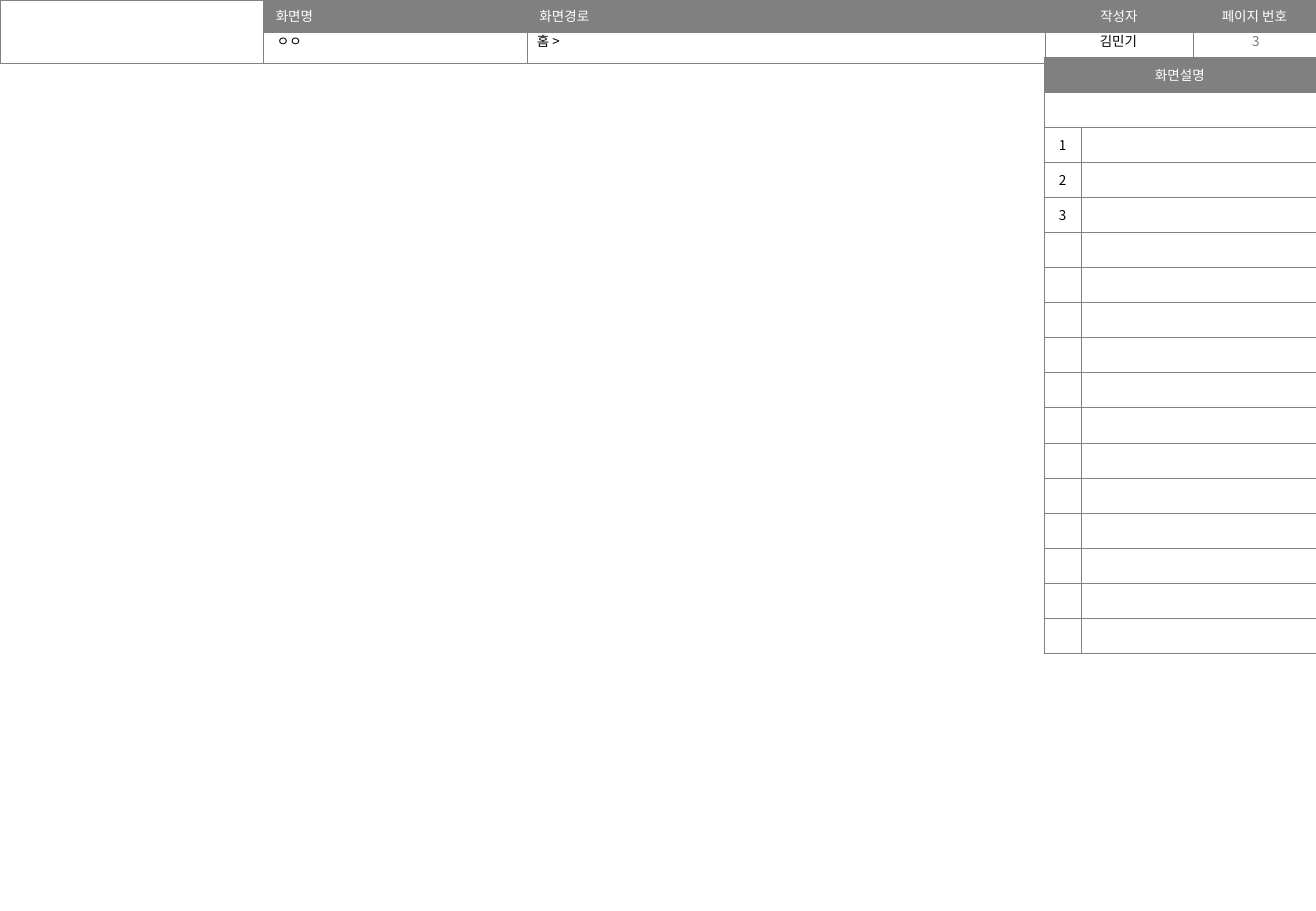
from lxml import etree
from pptx import Presentation
from pptx.dml.color import RGBColor
from pptx.enum.text import MSO_ANCHOR, PP_ALIGN
from pptx.oxml.ns import qn
from pptx.util import Inches, Pt

LEFT, CENTER = PP_ALIGN.LEFT, PP_ALIGN.CENTER
TOP, MIDDLE = MSO_ANCHOR.TOP, MSO_ANCHOR.MIDDLE
GREY = RGBColor(0x80, 0x80, 0x80)
PAGE_GREY = RGBColor(0x79, 0x79, 0x79)
WHITE = RGBColor(0xFF, 0xFF, 0xFF)
BLACK = RGBColor(0, 0, 0)
FONT, SIZE = "Noto Sans CJK KR", Pt(8)

# Content
HEADER_COLS = [2.17, 2.17, 4.26, 1.22, 1.01]
HEADER_ROWS = [0.26, 0.26]
HEADERS = [("화면명", LEFT), ("화면경로", LEFT), ("작성자", CENTER), ("페이지 번호", CENTER)]
VALUES = [  # text, left, width, alignment, anchor, colour
    ("김민기", 8.59, 1.23, CENTER, TOP, BLACK),
    ("3", 9.83, 1.01, CENTER, MIDDLE, PAGE_GREY),
    ("ㅇㅇ", 2.18, 2.15, LEFT, TOP, BLACK),
    ("홈 >", 4.32, 2.15, LEFT, TOP, BLACK),
]
NOTES_TITLE = "화면설명"
NOTES_COLS = [0.31, 1.93]
NOTES_TOP, NOTES_HEIGHT, NOTES_COUNT = 0.47, 4.91, 17
NOTE_NUMBERS = ["1", "2", "3"]


def write(tf, text, align, color):
    tf.text = text
    p = tf.paragraphs[0]
    p.alignment = align
    for r in p.runs:
        r.font.size = SIZE
        r.font.color.rgb = color
        r.font.name = FONT
        etree.SubElement(r.font._element, qn("a:ea"), typeface=FONT)


def set_borders(cell):
    tcPr = cell._tc.get_or_add_tcPr()
    for side in ("lnL", "lnR", "lnT", "lnB"):
        ln = etree.SubElement(tcPr, qn(f"a:{side}"), w=str(Pt(0.25)))
        fill = etree.SubElement(ln, qn("a:solidFill"))
        etree.SubElement(fill, qn("a:srgbClr"), val=str(GREY))


def add_grid(left, top, cols, rows):
    table = slide.shapes.add_table(
        len(rows), len(cols), Inches(left), Inches(top),
        Inches(sum(cols)), Inches(sum(rows))).table
    table.first_row = table.horz_banding = False
    for column, width in zip(table.columns, cols):
        column.width = Inches(width)
    for row, height in zip(table.rows, rows):
        row.height = Inches(height)
    for cell in table.iter_cells():
        set_borders(cell)
        cell.fill.background()
        # Keeps empty cells from growing to the default text size
        p = cell.text_frame.paragraphs[0]
        etree.SubElement(p._p, qn("a:endParaRPr"), sz=str(int(SIZE.pt * 100)))
    return table


def fill_cell(cell, text, align, color, anchor, fill=None):
    write(cell.text_frame, text, align, color)
    cell.vertical_anchor = anchor
    if fill is not None:
        cell.fill.solid()
        cell.fill.fore_color.rgb = fill


prs = Presentation()
prs.slide_width, prs.slide_height = Inches(10.83), Inches(7.5)
slide = prs.slides.add_slide(prs.slide_layouts[6])

# Header table
header = add_grid(0, 0, HEADER_COLS, HEADER_ROWS)
header.cell(0, 0).merge(header.cell(1, 0))
for i, (text, align) in enumerate(HEADERS, 1):
    fill_cell(header.cell(0, i), text, align, WHITE, TOP, GREY)

# Header values
for text, left, width, align, anchor, color in VALUES:
    tf = slide.shapes.add_textbox(
        Inches(left), Inches(0.22), Inches(width), Inches(0.24)).text_frame
    tf.word_wrap = True
    tf.vertical_anchor = anchor
    write(tf, text, align, color)

# Description table
notes = add_grid(sum(HEADER_COLS[:3]) - 0.01, NOTES_TOP, NOTES_COLS,
                 [NOTES_HEIGHT / NOTES_COUNT] * NOTES_COUNT)
for i in range(2):
    notes.cell(i, 0).merge(notes.cell(i, 1))
fill_cell(notes.cell(0, 0), NOTES_TITLE, CENTER, WHITE, MIDDLE, GREY)
for i, number in enumerate(NOTE_NUMBERS, 2):
    fill_cell(notes.cell(i, 0), number, CENTER, BLACK, MIDDLE)

prs.save("out.pptx")
